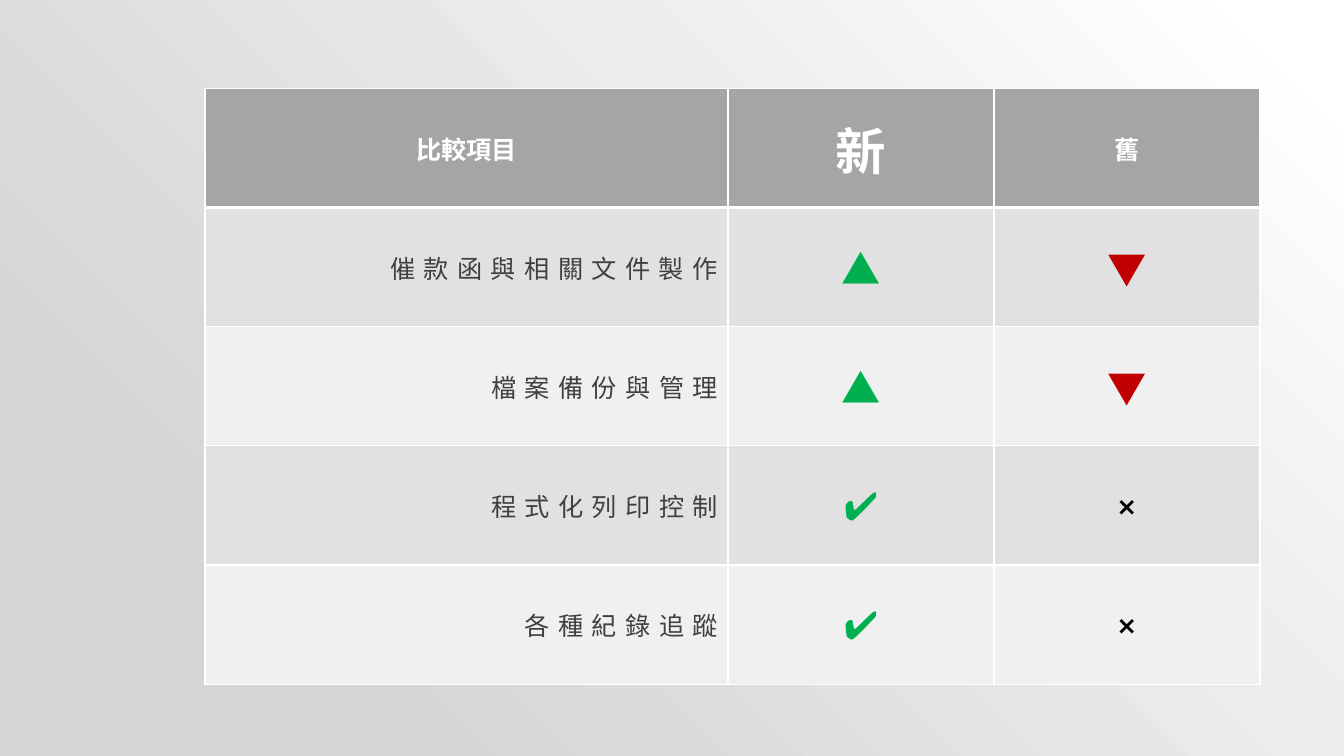
from lxml import etree
from pptx import Presentation
from pptx.dml.color import RGBColor
from pptx.enum.text import MSO_ANCHOR, PP_ALIGN
from pptx.oxml.ns import qn
from pptx.util import Pt

CENTER, RIGHT = PP_ALIGN.CENTER, PP_ALIGN.RIGHT
MIDDLE = MSO_ANCHOR.MIDDLE

CJK, LATIN = "Noto Sans CJK SC", "Lato"
WHITE, HEADER, TEXT = "FFFFFF", "A5A5A5", "404040"
BANDS = ("E1E1E1", "F0F0F0")
MARKS = {
    "▲": (28, CJK, "00B050"),
    "▼": (28, CJK, "C00000"),
    "✔": (28, LATIN, "00B050"),
    "❌": (18, CJK, "000000"),
}
HEADINGS = (("比較項目", 18), ("新", 36), ("舊", 18))
ROWS = (
    ("催款函與相關文件製作", "▲", "▼"),
    ("檔案備份與管理", "▲", "▼"),
    ("程式化列印控制", "✔", "❌"),
    ("各種紀錄追蹤", "✔", "❌"),
)


def rgb(value):
    return RGBColor.from_string(value)


class Deck:
    def __init__(self, width, height):
        self.prs = Presentation()
        self.prs.slide_width, self.prs.slide_height = Pt(width), Pt(height)
        self.s = self.prs.slides.add_slide(self.prs.slide_layouts[6])

    def background(self, stops):
        fill = self.s.background.fill
        fill.gradient()
        for stop, (position, color) in zip(fill.gradient_stops, stops):
            stop.position, stop.color.rgb = position, rgb(color)
        grad = self.s.element.find(".//" + qn("a:gradFill"))
        grad.remove(grad.find(qn("a:lin")))
        path = etree.SubElement(grad, qn("a:path"), path="circle")
        etree.SubElement(path, qn("a:fillToRect"), l="100000", b="100000")

    def table(self, left, top, widths, row_height, rows):
        frame = self.s.shapes.add_table(
            rows, len(widths), Pt(left), Pt(top), Pt(sum(widths)), Pt(rows * row_height))
        table = frame.table
        table.horz_banding = False
        for column, width in zip(table.columns, widths):
            column.width = Pt(width)
        for row in table.rows:
            row.height = Pt(row_height)
        return table

    def borders(self, cell, top, bottom):
        tcPr = cell._tc.get_or_add_tcPr()
        for side, width in (("L", 1), ("R", 1), ("T", top), ("B", bottom)):
            ln = etree.SubElement(tcPr, qn("a:ln" + side), w=str(Pt(width)))
            solid = etree.SubElement(ln, qn("a:solidFill"))
            etree.SubElement(solid, qn("a:srgbClr"), val=WHITE)

    def cell(self, cell, text, fill, size, name, color,
             align=CENTER, bold=False, spacing=0, top=1, bottom=1):
        self.borders(cell, top, bottom)
        cell.fill.solid()
        cell.fill.fore_color.rgb = rgb(fill)
        cell.vertical_anchor = MIDDLE
        p = cell.text_frame.paragraphs[0]
        p.alignment = align
        r = p.add_run()
        r.text = text
        font = r.font
        font.size, font.bold, font.name = Pt(size), bold, name
        font.color.rgb = rgb(color)
        rPr = r._r.get_or_add_rPr()
        rPr.set("spc", str(spacing * 100))
        etree.SubElement(rPr, qn("a:ea"), typeface=name)


def main():
    deck = Deck(960, 540)
    deck.background(((0.03, WHITE), (0.8, "D6D4D4")))
    table = deck.table(146.4, 63.2, (373.6, 190, 190), 85.1, len(ROWS) + 1)
    for col, (heading, size) in enumerate(HEADINGS):
        deck.cell(table.cell(0, col), heading, HEADER, size, CJK, WHITE,
                  bold=True, bottom=3)
    for row, (item, *marks) in enumerate(ROWS, 1):
        fill = BANDS[(row - 1) % 2]
        top = 3 if row == 1 else 1
        deck.cell(table.cell(row, 0), item, fill, 18, CJK, TEXT,
                  align=RIGHT, spacing=6, top=top)
        for col, mark in enumerate(marks, 1):
            deck.cell(table.cell(row, col), mark, fill, *MARKS[mark], top=top)
    deck.prs.save("out.pptx")


if __name__ == "__main__":
    main()
